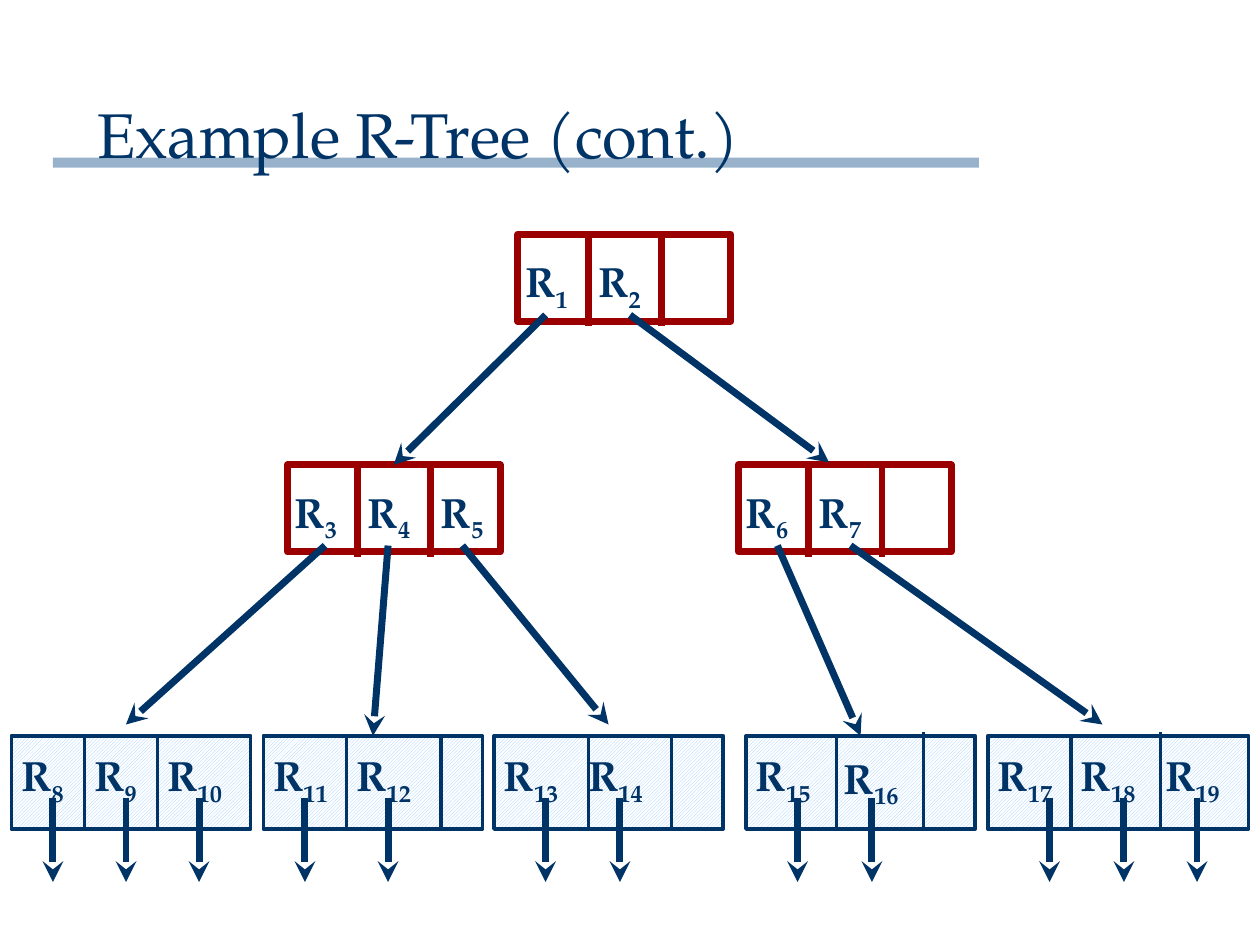
from lxml.etree import SubElement
from pptx import Presentation
from pptx.dml.color import RGBColor
from pptx.enum.dml import MSO_PATTERN
from pptx.enum.shapes import MSO_CONNECTOR, MSO_SHAPE
from pptx.enum.text import MSO_ANCHOR, MSO_AUTO_SIZE, PP_ALIGN
from pptx.oxml.ns import qn
from pptx.util import Inches, Pt

NAVY, RED, BLUE, SKY, WHITE = "003366", "9A0000", "336699", "99CCFF", "FFFFFF"
INNER_WIDTH, INNER_HEIGHT, CELL = 1.69, 0.69, 0.58
LEAF_TOP, LEAF_HEIGHT, DIVIDER = 5.84, 0.74, 0.75


def color(value):
    return RGBColor.from_string(value)


class TreeSlide:
    font = "TeX Gyre Pagella"

    def __init__(self, page):
        self.page = page
        self.shapes = page.shapes

    def title(self, text, left, top, width, height):
        box = self.shapes.title
        box.left, box.top = Inches(left), Inches(top)
        box.width, box.height = Inches(width), Inches(height)
        frame = box.text_frame
        frame.text = text
        frame.vertical_anchor = MSO_ANCHOR.BOTTOM
        frame.auto_size = MSO_AUTO_SIZE.NONE
        para = frame.paragraphs[0]
        para.alignment = PP_ALIGN.LEFT
        self.style(para.font, 36)
        return box

    def style(self, font, size, bold=False):
        font.name, font.size, font.bold = self.font, Pt(size), bold
        font.color.rgb = color(NAVY)

    def rectangle(self, left, top, width, height):
        box = self.shapes.add_shape(MSO_SHAPE.RECTANGLE, Inches(left), Inches(top),
                                    Inches(width), Inches(height))
        box.shadow.inherit = False
        return box

    def underline(self, left, top, width, height, behind):
        bar = self.rectangle(left, top, width, height)
        bar.fill.solid()
        bar.fill.fore_color.rgb = color(BLUE)
        bar.line.fill.background()
        tint = bar._element.spPr.find(".//" + qn("a:srgbClr"))
        SubElement(tint, qn("a:alpha"), val="50000")
        behind._element.addprevious(bar._element)

    def node(self, left, top, width, height, line, weight, hatched=False):
        box = self.rectangle(left, top, width, height)
        if hatched:
            box.fill.patterned()
            box.fill.pattern = MSO_PATTERN.DARK_UPWARD_DIAGONAL
            box.fill.fore_color.rgb = color(SKY)
            box.fill.back_color.rgb = color(WHITE)
        else:
            box.fill.solid()
            box.fill.fore_color.rgb = color(WHITE)
        box.line.color.rgb = color(line)
        box.line.width = Pt(weight)
        return box

    def line(self, start, end, line, weight):
        link = self.shapes.add_connector(MSO_CONNECTOR.STRAIGHT,
                                         *(Inches(v) for v in (*start, *end)))
        link.line.color.rgb = color(line)
        link.line.width = Pt(weight)
        SubElement(link._element.spPr, qn("a:effectLst"))
        return link

    def arrow(self, start, end, target=None):
        link = self.line(start, end, NAVY, 4)
        SubElement(link.line._get_or_add_ln(), qn("a:tailEnd"), type="stealth")
        if target is not None:
            link.end_connect(target, 0)

    def label(self, number, left, top):
        width = 0.55 if number < 10 else 0.66
        box = self.shapes.add_textbox(Inches(left), Inches(top), Inches(width), Inches(0.5))
        frame = box.text_frame
        frame.word_wrap = False
        frame.auto_size = MSO_AUTO_SIZE.SHAPE_TO_FIT_TEXT
        para = frame.paragraphs[0]
        self.style(para.font, 24, bold=True)
        para.add_run().text = "R"
        span = para.add_run()
        span.text = str(number)
        span._r.get_or_add_rPr().set("baseline", "-25000")


def main():
    deck = Presentation()
    deck.slide_width, deck.slide_height = Inches(10), Inches(7.5)
    slide = TreeSlide(deck.slides.add_slide(deck.slide_layouts[5]))

    # Title over its bar
    title = slide.title("Example R-Tree (cont.)", 0.67, 0.58, 9.33, 0.83)
    slide.underline(0.42, 1.25, 7.35, 0.08, behind=title)

    # Leaf nodes: left, width, dividers as (x, top)
    leaves = []
    for left, width, dividers in [
        (0.09, 1.9, [(0.67, 5.83), (1.25, 5.83)]),
        (2.09, 1.74, [(2.75, 5.83), (3.5, 5.83)]),
        (3.92, 1.82, [(4.67, 5.83), (5.33, 5.83)]),
        (5.92, 1.82, [(6.64, 5.83), (7.33, 5.81)]),
        (7.84, 2.07, [(8.5, 5.83), (9.21, 5.81)]),
    ]:
        leaves.append(slide.node(left, LEAF_TOP, width, LEAF_HEIGHT, NAVY, 2, hatched=True))
        for x, top in dividers:
            slide.line((x, top), (x, top + DIVIDER), NAVY, 2)

    # Pointers from leaf entries to the data
    for x in (0.42, 1, 1.58, 2.42, 3.08, 4.33, 4.92, 6.33, 6.92, 8.33, 8.92, 9.5):
        slide.arrow((x, 6.33), (x, 7))

    # Inner nodes: left, top, entry numbers
    inner = [(4.11, 1.86, (1, 2)), (2.28, 3.69, (3, 4, 5)), (5.86, 3.69, (6, 7))]
    boxes = []
    for left, top, _ in inner:
        boxes.append(slide.node(left, top, INNER_WIDTH, INNER_HEIGHT, RED, 4))
        for index in range(2):
            x = left + 0.56 + index * CELL
            slide.line((x, top - 0.02), (x, top - 0.02 + DIVIDER), RED, 4)

    # Arrows from entries to child nodes, joined where they meet a top centre
    for start, end, target in [
        ((4.33, 2.5), (3.17, 3.67), boxes[1]),
        ((5, 2.5), (6.58, 3.67), None),
        ((2.58, 4.33), (1, 5.75), None),
        ((3.08, 4.33), (2.92, 5.83), leaves[1]),
        ((3.67, 4.33), (4.83, 5.75), None),
        ((6.17, 4.33), (6.83, 5.83), leaves[3]),
        ((6.75, 4.33), (8.75, 5.75), None),
    ]:
        slide.arrow(start, end, target)

    # Entry labels
    for left, top, numbers in inner:
        for index, number in enumerate(numbers):
            slide.label(number, left - 0.04 + index * CELL, top + 0.12)
    leaf_labels = (0.07, 0.65, 1.23, 2.07, 2.73, 3.9, 4.57, 5.9, 6.6, 7.82, 8.48, 9.15)
    for number, left in enumerate(leaf_labels, start=8):
        slide.label(number, left, 5.92 if number == 16 else 5.9)

    deck.save("out.pptx")


if __name__ == "__main__":
    main()
